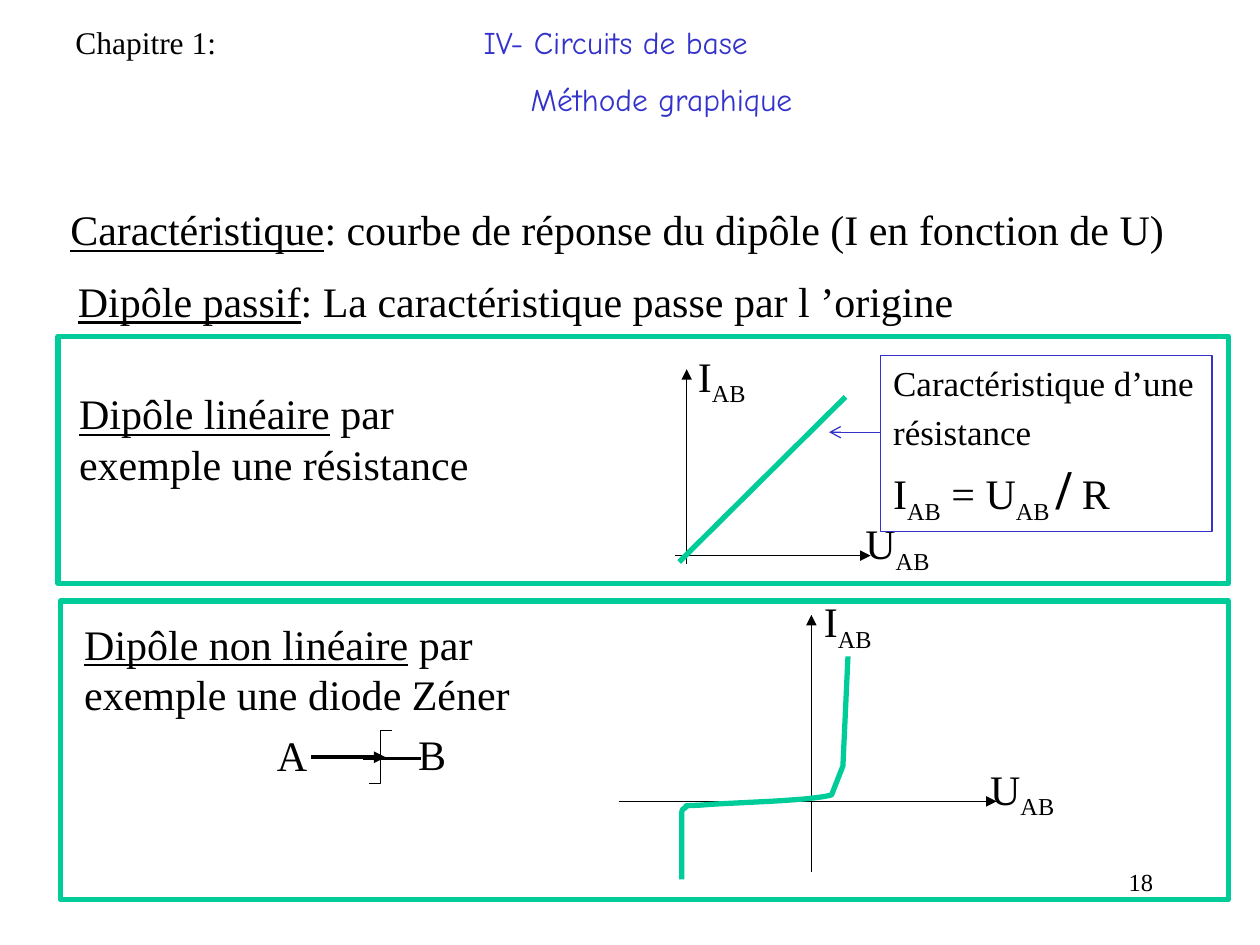
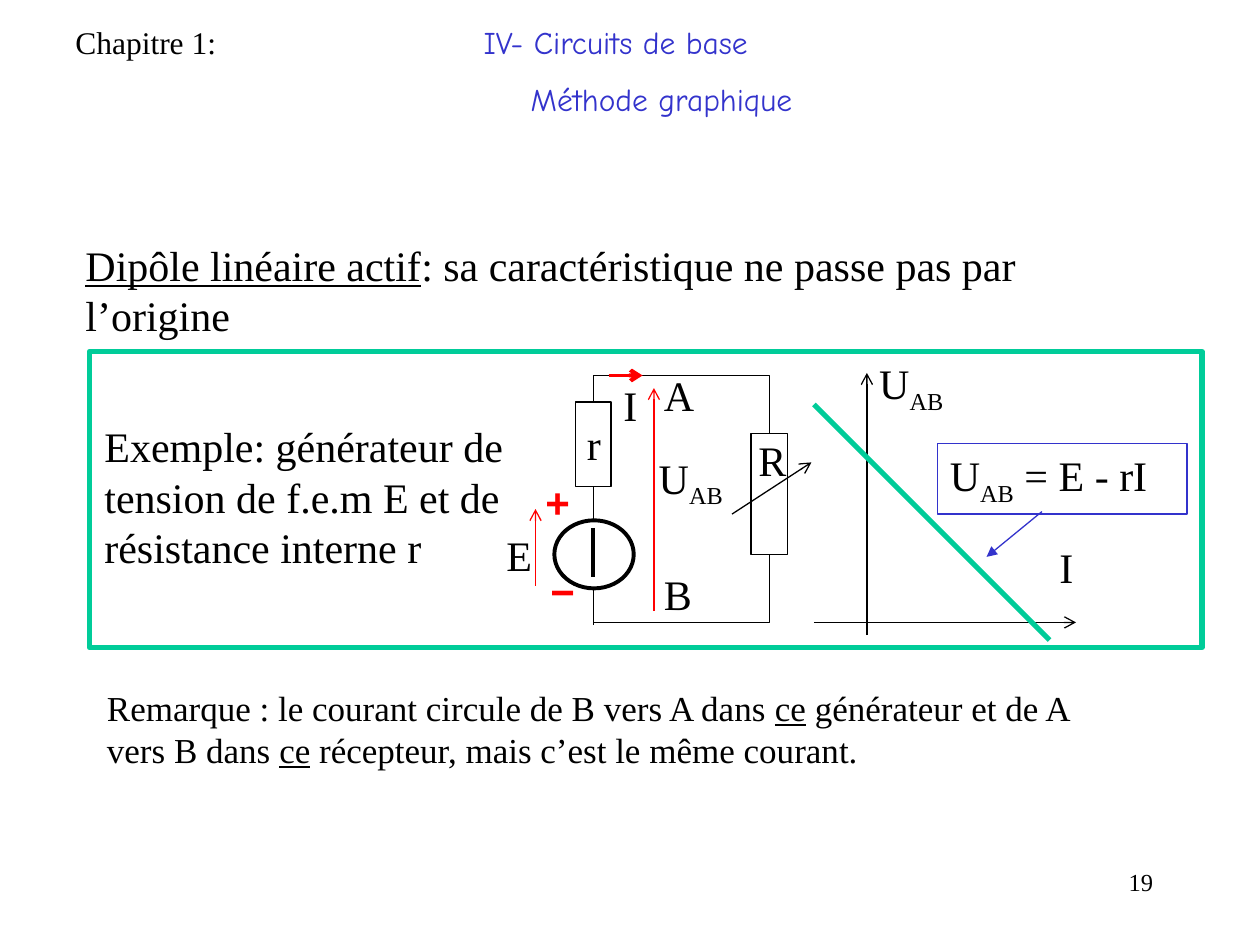
from dataclasses import dataclass
from typing import Optional, Sequence

from lxml.etree import SubElement
from pptx import Presentation
from pptx.dml.color import RGBColor
from pptx.enum.shapes import MSO_CONNECTOR as Connector, MSO_SHAPE as Preset
from pptx.enum.text import MSO_ANCHOR as Anchor, PP_ALIGN as Align
from pptx.oxml.ns import qn
from pptx.util import Inches, Pt

COLUMNS, ROWS = 100, 75
WIDTH, HEIGHT = Inches(10), Inches(7.5)
BLACK, WHITE, BLUE, GREEN, RED = "000000", "FFFFFF", "3333CC", "00CC99", "FF0000"
SERIF, HAND, SANS = "Times New Roman", "Comic Neue", "Arial"
THIN, MEDIUM, THICK = 0.75, 2.25, 3
TITLE_TAB = 32.4

Point = tuple[float, float]


@dataclass(frozen=True)
class Box:
    left: float
    top: float
    width: float
    height: float

    def emu(self) -> tuple[int, int, int, int]:
        return (*emu_point((self.left, self.top)), *emu_point((self.width, self.height)))


@dataclass(frozen=True)
class Run:
    text: str
    underline: bool = False
    subscript: bool = False
    bold: Optional[bool] = None
    size: Optional[float] = None
    font: Optional[str] = None
    color: Optional[str] = None


@dataclass(frozen=True)
class Label:
    box: Box
    runs: Sequence[Run]
    font: str = SERIF
    color: str = BLACK
    bold: bool = False


@dataclass(frozen=True)
class Line:
    start: Point
    end: Point
    color: str = BLACK
    weight: float = THIN
    arrow: Optional[str] = None


def emu_point(point: Point) -> tuple[int, int]:
    return round(point[0] * WIDTH / COLUMNS), round(point[1] * HEIGHT / ROWS)


def rgb(color: str) -> RGBColor:
    return RGBColor.from_string(color)


def dipole(symbol: str) -> list[Run]:
    return [Run(symbol), Run("AB", subscript=True)]


def write_text(shape, paragraphs: Sequence[Sequence[Run]], *, size: float = 24, font: str = SERIF,
               color: str = BLACK, bold: bool = False, aligns: Sequence = (),
               space_before: float = 0, tab: Optional[float] = None) -> None:
    frame = shape.text_frame
    frame.word_wrap = True
    frame.vertical_anchor = Anchor.TOP
    for index, runs in enumerate(paragraphs):
        paragraph = frame.paragraphs[0] if index == 0 else frame.add_paragraph()
        paragraph.alignment = aligns[index] if aligns else Align.LEFT
        if index and space_before:
            paragraph.space_before = Pt(space_before)
        if tab and index == 0:
            stops = SubElement(paragraph._p.get_or_add_pPr(), qn("a:tabLst"))
            SubElement(stops, qn("a:tab"), pos=str(emu_point((tab, 0))[0]), algn="l")
        for part in runs:
            run = paragraph.add_run()
            run.text = part.text
            run.font.size = Pt(part.size or size)
            run.font.name = part.font or font
            run.font.color.rgb = rgb(part.color or color)
            run.font.bold = bold if part.bold is None else part.bold
            run.font.underline = part.underline
            if part.subscript:
                run._r.get_or_add_rPr().set("baseline", "-25000")


def add_text(slide, box: Box, *paragraphs: Sequence[Run], **text_format) -> None:
    write_text(slide.shapes.add_textbox(*box.emu()), paragraphs, **text_format)


def add_labels(slide, labels: Sequence[Label]) -> None:
    for label in labels:
        add_text(slide, label.box, label.runs, font=label.font, color=label.color, bold=label.bold)


def style_outline(shape, color: str, weight: float, fill: Optional[str] = None) -> None:
    shape.shadow.inherit = False
    if fill:
        shape.fill.solid()
        shape.fill.fore_color.rgb = rgb(fill)
    else:
        shape.fill.background()
    shape.line.color.rgb = rgb(color)
    shape.line.width = Pt(weight)


def add_outline(slide, box: Box, color: str = BLACK, weight: float = THIN,
                fill: Optional[str] = None, preset: Preset = Preset.RECTANGLE):
    shape = slide.shapes.add_shape(preset, *box.emu())
    style_outline(shape, color, weight, fill)
    return shape


def add_frame(slide, box: Box) -> None:
    add_outline(slide, box, GREEN, THICK)


def add_callout(slide, box: Box, *paragraphs: Sequence[Run]) -> None:
    write_text(add_outline(slide, box, BLUE), paragraphs)


def add_line(slide, line: Line):
    connector = slide.shapes.add_connector(
        Connector.STRAIGHT, *emu_point(line.start), *emu_point(line.end))
    connector.line.color.rgb = rgb(line.color)
    connector.line.width = Pt(line.weight)
    if line.arrow:
        SubElement(connector.line._get_or_add_ln(), qn("a:tailEnd"), type=line.arrow)
    SubElement(connector._element.spPr, qn("a:effectLst"))
    return connector


def add_lines(slide, lines: Sequence[Line]) -> None:
    for line in lines:
        add_line(slide, line)


def add_axes(slide, origin: Point, left: float, right: float, top: float, bottom: float,
             arrow: str) -> None:
    x, y = origin
    add_lines(slide, [Line((x, bottom), (x, top), arrow=arrow),
                      Line((left, y), (right, y), arrow=arrow)])


def add_path(slide, points: Sequence[Point], color: str, weight: float) -> None:
    builder = slide.shapes.build_freeform(*emu_point(points[0]))
    builder.add_line_segments([emu_point(point) for point in points[1:]], close=False)
    style_outline(builder.convert_to_shape(), color, weight)


def curve_points(start: Point, first: Point, second: Point, end: Point, steps: int = 12) -> list[Point]:
    def blend(t: float, axis: int) -> float:
        u = 1 - t
        return (u ** 3 * start[axis] + 3 * u * u * t * first[axis]
                + 3 * u * t * t * second[axis] + t ** 3 * end[axis])

    return [(blend(step / steps, 0), blend(step / steps, 1)) for step in range(1, steps + 1)]


def add_base_slide(presentation, number: int):
    slide = presentation.slides.add_slide(presentation.slide_layouts[6])
    add_text(slide, Box(5, 1.3, 95, 8.6),
             [Run("Chapitre 1:\t"), Run("IV- Circuits de base", font=HAND, color=BLUE)],
             [Run("Méthode graphique", font=HAND, color=BLUE)],
             size=18, aligns=(Align.LEFT, Align.CENTER), space_before=11.2, tab=TITLE_TAB)
    add_text(slide, Box(71.7, 68.3, 20.8, 5), [Run(str(number))], size=14, aligns=(Align.RIGHT,))
    return slide


def add_linear_panel(slide) -> None:
    add_axes(slide, (54.5, 44.1), 53.6, 69.1, 29.3, 44.8, "triangle")
    add_labels(slide, [Label(Box(54.4, 27.3, 8.5, 5.6), dipole("I")),
                       Label(Box(67.7, 40.6, 7.8, 5.6), dipole("U"))])
    add_line(slide, Line((53.9, 44.6), (67.1, 31.5), GREEN, THICK))
    add_callout(slide, Box(69.9, 28.2, 26.3, 14),
                [Run("Caractéristique d’une résistance", size=20), Run(" ")],
                [*dipole("I"), Run(" = U"), Run("AB ", subscript=True),
                 Run("/", size=32, bold=True), Run(" R")])
    add_line(slide, Line((69.9, 34.3), (65.8, 34.3), BLUE, arrow="arrow"))
    add_text(slide, Box(5.3, 30.3, 33, 9),
             [Run("Dipôle linéaire", underline=True), Run(" par")],
             [Run("exemple une résistance")])
    add_frame(slide, Box(4.6, 26.7, 92.9, 19.6))


def add_zener_panel(slide) -> None:
    add_frame(slide, Box(4.8, 47.7, 92.7, 23.7))
    add_text(slide, Box(5.7, 48.6, 37.5, 9),
             [Run("Dipôle non linéaire", underline=True), Run(" par")],
             [Run("exemple une diode Zéner")])
    add_lines(slide, [Line((24.7, 60.1), (30.6, 60.1), weight=MEDIUM, arrow="triangle"),
                      Line((28.8, 60.2), (33.4, 60.2), weight=MEDIUM)])
    add_path(slide, [(29.3, 62.2), (30.2, 62.2), (30.2, 58), (31.1, 58)], BLACK, THIN)
    add_axes(slide, (64.4, 63.6), 49.1, 79.1, 48.8, 69.2, "triangle")
    add_labels(slide, [Label(Box(21, 57.4, 5, 5), [Run("A")]),
                       Label(Box(32.2, 57.3, 5, 5), [Run("B")]),
                       Label(Box(64.4, 46.8, 8.5, 5.6), dipole("I")),
                       Label(Box(77.6, 60.1, 7.8, 5.6), dipole("U"))])
    response = [(54.1, 69.8), (54.1, 65)]
    for first, second, end in [((54.1, 64), (54.2, 64.3), (54.4, 64.1)),
                               ((54.7, 63.9), (53.8, 64), (55.7, 63.9)),
                               ((57.7, 63.7), (64.2, 63.6), (66, 63.1))]:
        response += curve_points(response[-1], first, second, end)
    add_path(slide, [*response, (66.9, 60.8), (67.3, 52.1)], GREEN, THICK)


def add_passive_slide(presentation) -> None:
    slide = add_base_slide(presentation, 18)
    add_text(slide, Box(4.6, 15.7, 90, 5),
             [Run("Caractéristique", underline=True),
              Run(": courbe de réponse du dipôle (I en fonction de U)")])
    add_text(slide, Box(5.2, 21.4, 87.6, 5),
             [Run("Dipôle passif", underline=True),
              Run(": La caractéristique passe par l ’origine")])
    add_linear_panel(slide)
    add_zener_panel(slide)


def add_circuit(slide) -> None:
    add_outline(slide, Box(47.1, 29.8, 14, 19.6))
    wire = add_line(slide, Line((47.1, 49.6), (47.1, 31.9)))
    add_outline(slide, Box(44, 41.3, 6.3, 5.4), weight=MEDIUM, fill=WHITE, preset=Preset.OVAL)
    inner_resistor = add_outline(slide, Box(45.7, 31.9, 2.8, 6.7), fill=WHITE)
    wire.end_connect(inner_resistor, 0)
    add_outline(slide, Box(59.6, 34.4, 2.9, 9.6), fill=WHITE)
    add_lines(slide, [Line((47.1, 41.9), (47.1, 45.8), weight=MEDIUM),
                      Line((42.5, 46.5), (42.5, 40.4), RED, arrow="arrow"),
                      Line((48.3, 29.8), (51, 29.8), RED, MEDIUM, "arrow"),
                      Line((51.9, 48.5), (51.9, 30.8), RED, arrow="arrow"),
                      Line((58.1, 40.8), (64.4, 36.7), arrow="arrow")])
    add_labels(slide, [Label(Box(39.2, 41.5, 5.4, 5), [Run("E")]),
                       Label(Box(45.6, 32.7, 4.2, 5), [Run("r")]),
                       Label(Box(48.5, 29.6, 3.3, 5), [Run("I")]),
                       Label(Box(51.7, 28.8, 4.2, 5), [Run("A")]),
                       Label(Box(51.7, 44.6, 4.2, 5), [Run("B")]),
                       Label(Box(51.3, 35.4, 7.7, 5.6), dipole("U")),
                       Label(Box(59.2, 34, 5.4, 5), [Run("R")]),
                       Label(Box(42.3, 37.3, 7.3, 5), [Run("+")], SANS, RED, True),
                       Label(Box(42.7, 44.4, 4.2, 5), [Run("−")], SANS, RED, True)])


def add_generator_plot(slide) -> None:
    add_axes(slide, (68.8, 49.4), 64.6, 85.4, 29.6, 50.4, "arrow")
    add_labels(slide, [Label(Box(68.8, 27.9, 8.3, 5.6), dipole("U")),
                       Label(Box(83.1, 42.5, 5, 5), [Run("I")])])
    add_line(slide, Line((64.6, 32.1), (83.3, 50.8), GREEN, THICK))
    add_callout(slide, Box(74.4, 35.2, 19.8, 5.6), [*dipole("U"), Run(" = E - rI")])
    add_line(slide, Line((82.7, 40.6), (78.3, 44.2), BLUE, arrow="triangle"))


def add_active_slide(presentation) -> None:
    slide = add_base_slide(presentation, 19)
    add_text(slide, Box(5.8, 18.5, 84.6, 9),
             [Run("Dipôle linéaire actif", underline=True),
              Run(": sa caractéristique ne passe pas par l’origine")])
    add_text(slide, Box(7.5, 54, 80.8, 7.7),
             [Run("Remarque : le courant circule de B vers A dans "), Run("ce", underline=True),
              Run(" générateur et de A vers B dans "), Run("ce", underline=True),
              Run(" récepteur, mais c’est le même courant.")], size=20)
    add_text(slide, Box(7.3, 32.9, 37.1, 13),
             [Run("Exemple: générateur de tension de f.e.m E et de résistance interne r")])
    add_generator_plot(slide)
    add_frame(slide, Box(7.1, 27.9, 88.3, 23.5))
    add_circuit(slide)


def main() -> None:
    presentation = Presentation()
    presentation.slide_width, presentation.slide_height = WIDTH, HEIGHT
    add_passive_slide(presentation)
    add_active_slide(presentation)
    presentation.save("out.pptx")


if __name__ == "__main__":
    main()
